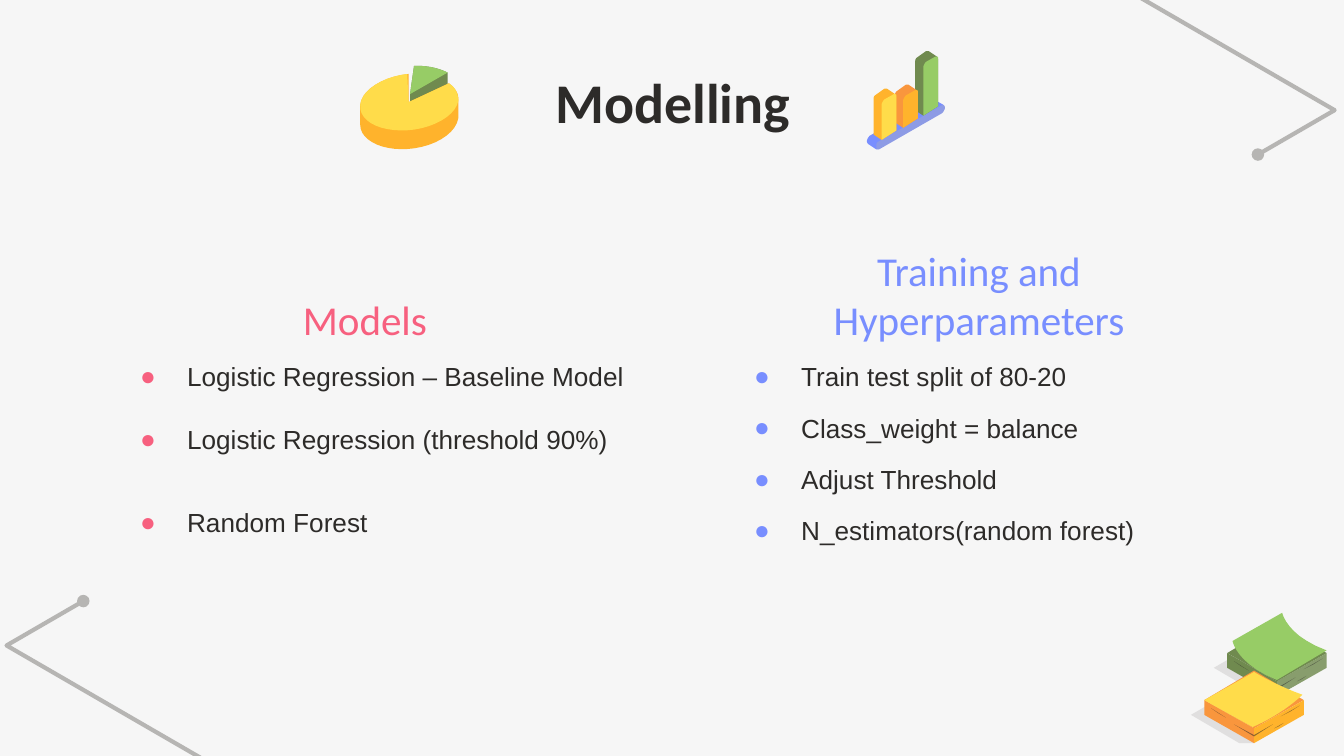
from collections import namedtuple

from pptx import Presentation
from pptx import util as u
from pptx.dml.color import RGBColor
from pptx.enum import text
from pptx.oxml import ns
from lxml import etree

Box = namedtuple("Box", "left top width height")

PAPER = RGBColor(0xF6, 0xF6, 0xF6)
INK = RGBColor(0x2D, 0x2B, 0x29)
GREY = RGBColor(0xB6, 0xB5, 0xB3)
PINK = RGBColor(0xF7, 0x60, 0x7F)
BLUE = RGBColor(0x78, 0x8E, 0xFF)
MOSS = RGBColor(0x70, 0x8A, 0x4F)
GREEN = RGBColor(0x97, 0xCC, 0x66)
ORANGE = RGBColor(0xF9, 0x96, 0x3D)
AMBER = RGBColor(0xFF, 0xB3, 0x2C)
YELLOW = RGBColor(0xFF, 0xDC, 0x4A)

HEAD_FONT, BODY_FONT = "Calibri", "Arial"
CURVE_STEPS = 10


def add_xml(parent, tag, **attributes):
    child = etree.SubElement(parent, ns.qn(tag))
    for key, value in attributes.items():
        child.set(key, str(value))
    return child


def flatten(outline):
    points = []
    for step in outline:
        if len(step) == 2:
            points.append(step)
            continue
        controls = [points[-1], step[:2], step[2:4], step[4:]]
        for i in range(1, CURVE_STEPS + 1):
            t = i / CURVE_STEPS
            weights = ((1 - t) ** 3, 3 * t * (1 - t) ** 2, 3 * t * t * (1 - t), t ** 3)
            points.append(tuple(sum(w * c[axis] for w, c in zip(weights, controls))
                                for axis in (0, 1)))
    return points


def draw_outline(shapes, box, grid, outline, shift=(0, 0), close=True):
    unit = box.width / grid
    points = [(u.Pt(box.left + (x + shift[0]) * unit), u.Pt(box.top + (y + shift[1]) * unit))
              for x, y in flatten(outline)]
    builder = shapes.build_freeform(*points[0], scale=1.0)
    builder.add_line_segments(points[1:], close=close)
    shape = builder.convert_to_shape()
    shape.shadow.inherit = False
    return shape


def paint(shape, color, alpha=100):
    shape.fill.solid()
    shape.fill.fore_color.rgb = color
    shape.line.fill.background()
    if alpha < 100:
        color_node = shape.fill._xPr.find(ns.qn("a:solidFill"))[0]
        add_xml(color_node, "a:alpha", val=alpha * 1000)


def write(paragraph, words, *, size, font, color, bold=False, align=None, before=0, bullet=None):
    run = paragraph.add_run()
    run.text = words
    run.font.size, run.font.name, run.font.bold = u.Pt(size), font, bold
    run.font.color.rgb = color
    paragraph.alignment = align
    paragraph.space_before = u.Pt(before)
    properties = paragraph._p.get_or_add_pPr()
    if bullet is not None:
        properties.set("marL", str(u.Pt(36)))
        properties.set("indent", str(u.Pt(-25.2)))
        add_xml(add_xml(properties, "a:buClr"), "a:srgbClr", val=bullet)
        add_xml(properties, "a:buChar", char="●")
    else:
        properties.set("marL", "0")
        properties.set("indent", "0")
        add_xml(properties, "a:buNone")


def place(holder, box, anchor=text.MSO_ANCHOR.TOP):
    holder.left, holder.top, holder.width, holder.height = map(u.Pt, box)
    frame = holder.text_frame
    frame.word_wrap, frame.auto_size = True, text.MSO_AUTO_SIZE.NONE
    frame.vertical_anchor = anchor
    frame.margin_left = frame.margin_top = frame.margin_right = frame.margin_bottom = u.Pt(7.2)
    return frame


def slide_title(slide, box):
    write(place(slide.shapes.title, box).paragraphs[0], "Modelling", size=30, font=HEAD_FONT,
          color=INK, bold=True, align=text.PP_ALIGN.CENTER)


def topic_column(heading_holder, list_holder, box, heading, entries, accent):
    heading_box = Box(box.left, box.top, box.width, 31)
    write(place(heading_holder, heading_box, text.MSO_ANCHOR.BOTTOM).paragraphs[0], heading,
          size=22, font=HEAD_FONT, color=accent, align=text.PP_ALIGN.CENTER)
    frame = place(list_holder, Box(box.left, box.top + 25.5, box.width + 10, box.height - 25.5))
    for i, (entry, before) in enumerate(entries):
        paragraph = frame.add_paragraph() if i else frame.paragraphs[0]
        write(paragraph, entry, size=14, font=BODY_FONT, color=INK,
              align=text.PP_ALIGN.LEFT, before=before, bullet=accent)


def corner_line(slide, box, turn=0):
    line = draw_outline(slide.shapes, box, 247, [(190, 176), (247, 143), (0, 0)], close=False)
    line.fill.background()
    line.line.color.rgb, line.line.width = GREY, u.Pt(2.25)
    for end in ("a:headEnd", "a:tailEnd"):
        add_xml(line.line._get_or_add_ln(), end, type="oval")
    line.rotation = turn


def note_pads(slide, box):
    shapes = slide.shapes.add_group_shape().shapes
    shadow = [(16, -4), (-10, 11), (26, 32), (37, 32)]
    top = [(37, -22), (0, 0), (37, 21), (74, 0)]
    left_side = [(0, 0), (0, 11), (37, 32), (37, 21)]
    right_side = [(74, 0), (37, 21), (37, 32), (74, 11)]
    page_edges = [[(22, 18), (37, 27), (51, 18), (37, 26)], [(71, 4), (57, 12), (64, 8.5)],
                  [(59, 17), (52, 21), (55.5, 19.5)], [(5, 6), (16, 13), (10, 9.5)]]
    curled = [(74, -2), (44, -13, 41, -30, 41, -30), (4, -9), (4, -9, 7, 8, 37, 20)]
    flat = [(37, -21), (0, 0), (0, 0, 14, 8, 36, 20), (48, 15, 64, 5, 73, -4),
            (51, -12, 37, -21, 37, -21)]
    pads = [((27, 30), MOSS, MOSS, 82, GREEN, curled),
            ((10, 65), ORANGE, AMBER, 100, YELLOW, flat)]
    for corner, dark, side, side_alpha, bright, sheet in pads:
        layers = [(shadow, GREY, 34), (top, dark, 100), (left_side, dark, 100),
                  (right_side, side, side_alpha), (sheet, bright, 100)]
        layers += [(edge, INK, 51) for edge in page_edges]
        for outline, color, alpha in layers:
            paint(draw_outline(shapes, box, 101, outline, corner), color, alpha)


def bar_icon(slide, box):
    shapes = slide.shapes.add_group_shape().shapes
    base = [(50, 36), (49, 36), (2, 63), (1, 64, 0, 66, 0, 67), (0, 68, 1, 69, 1, 69),
            (7, 73), (9, 73), (56, 46), (57, 45, 58, 43, 58, 42), (58, 41, 57, 40, 57, 40)]
    base_front = [(56, 40), (9, 67), (7, 68, 7, 69, 7, 71), (7, 72, 7, 73, 8, 73),
                  (9, 73), (56, 46), (57, 45, 58, 43, 58, 42), (58, 40, 57, 40, 56, 40)]
    paint(draw_outline(shapes, box, 58, base), BLUE)
    paint(draw_outline(shapes, box, 58, base_front), GREY, 34)
    bars = [(42, 4, 48, MOSS, GREEN), (27, 29, 57, ORANGE, AMBER), (11, 32, 66, AMBER, YELLOW)]
    for x, y, foot, back, front in bars:
        depth = foot - y
        body = [(-6, depth - 4), (0, depth), (11, depth - 7), (11, 2), (10, 0), (4, -4),
                (3, -4), (2, -4), (-5, 1), (-6, 2, -6, 3, -6, 4)]
        face = [(0, depth), (11, depth - 7), (11, 2), (11, 1, 11, 0, 10, 0), (9, 0),
                (2, 4), (1, 5, 0, 7, 0, 8)]
        for outline, color in ((body, back), (face, front)):
            paint(draw_outline(shapes, box, 58, outline, (x, y)), color)


def pie_icon(slide, box):
    shapes = slide.shapes.add_group_shape().shapes
    slice_side = [(44, 0), (41, 0), (38, 21), (38, 35), (66, 19), (66, 5), (60, 2, 52, 0, 44, 0)]
    slice_top = [(44, 0), (41, 0), (38, 21), (66, 5), (60, 2, 52, 0, 44, 0)]
    pie_side = [(37, 6), (18, 8, 2, 18, 1, 29), (1, 44), (1, 54, 14, 62, 32, 62), (35, 62),
                (55, 61, 72, 51, 74, 39), (74, 24), (74, 20, 71, 16, 67, 13), (37, 27)]
    pie_top = [(36, 6), (18, 8, 2, 18, 1, 29), (0, 40, 13, 48, 32, 48), (35, 48),
               (55, 47, 72, 37, 74, 26), (74, 21, 72, 16, 67, 13), (37, 27)]
    for outline, color in ((slice_side, MOSS), (pie_side, AMBER),
                           (pie_top, YELLOW), (slice_top, GREEN)):
        paint(draw_outline(shapes, box, 75, outline), color)


def main():
    deck = Presentation()
    deck.slide_width, deck.slide_height = u.Pt(720), u.Pt(405)
    slide = deck.slides.add_slide(deck.slide_layouts.get_by_name("Comparison"))
    slide.background.fill.solid()
    slide.background.fill.fore_color.rgb = PAPER
    holders = {h.placeholder_format.idx: h for h in slide.placeholders}

    corner_line(slide, Box(537, -44, 178, 127))
    corner_line(slide, Box(3.5, 322, 178, 127), turn=180)
    note_pads(slide, Box(638, 328.3, 72.7, 70))
    slide_title(slide, Box(57, 29, 607, 45))
    topic_column(holders[1], holders[2], Box(57, 160.5, 277, 191), "Models",
                 [("Logistic Regression – Baseline Model", 0),
                  ("Logistic Regression (threshold 90%)", 17),
                  ("Random Forest", 27.5)], PINK)
    topic_column(holders[3], holders[4], Box(386, 160.5, 277, 202), "Training and Hyperparameters",
                 [("Train test split of 80-20", 0), ("Class_weight = balance", 10.7),
                  ("Adjust Threshold", 10.7), ("N_estimators(random forest)", 10.7)], BLUE)
    bar_icon(slide, Box(464.4, 27.4, 41.8, 52.6))
    pie_icon(slide, Box(192.3, 35.3, 54, 44.6))
    deck.save("out.pptx")


if __name__ == "__main__":
    main()
